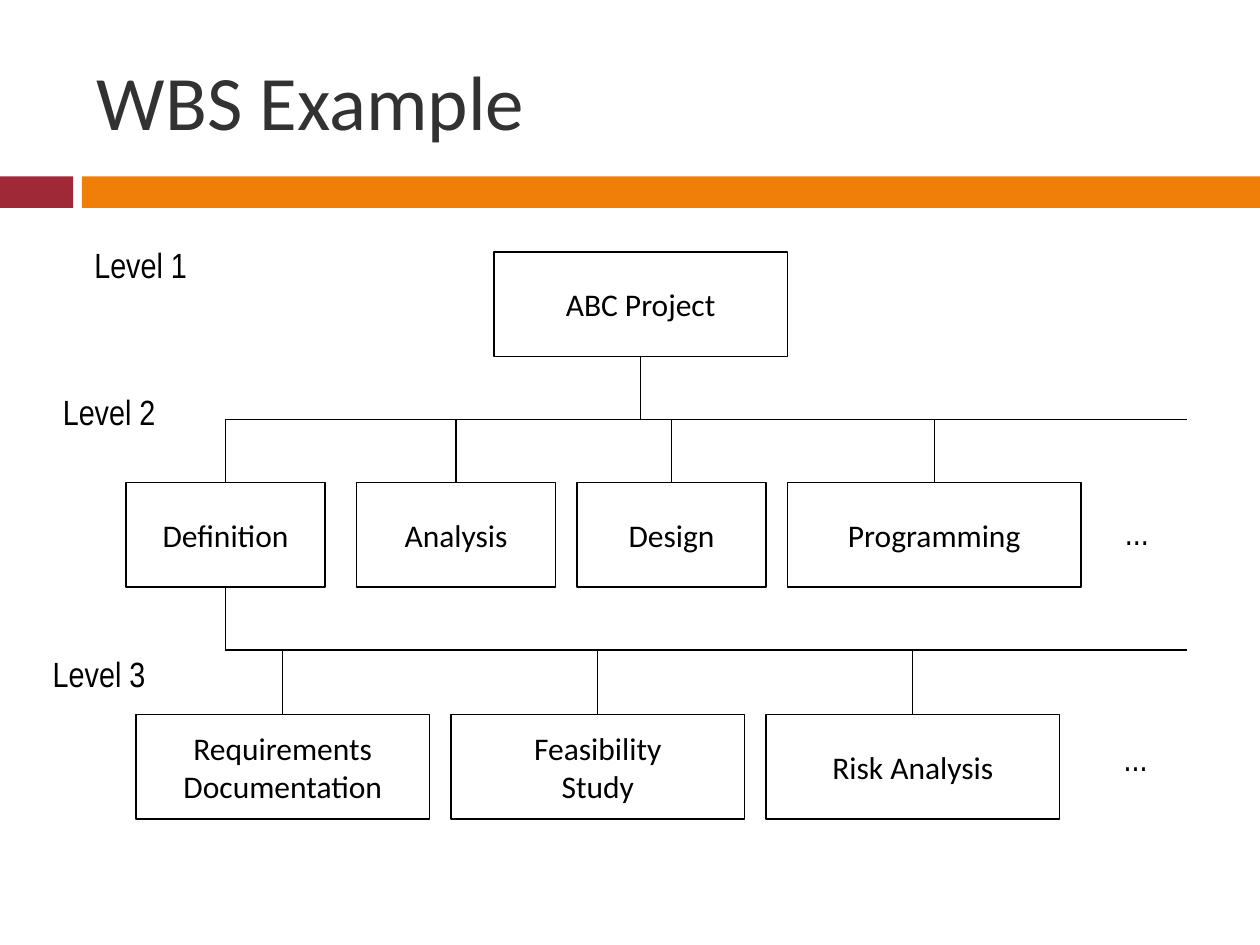
from dataclasses import dataclass

from lxml import etree
from pptx import Presentation
from pptx.dml.color import RGBColor
from pptx.enum.shapes import MSO_CONNECTOR, MSO_SHAPE
from pptx.enum.text import MSO_ANCHOR, MSO_AUTO_SIZE, PP_ALIGN
from pptx.oxml.ns import qn
from pptx.util import Inches, Pt

RECTANGLE = MSO_SHAPE.RECTANGLE
ELBOW = MSO_CONNECTOR.ELBOW
MIDDLE = MSO_ANCHOR.MIDDLE
TOP = MSO_ANCHOR.TOP
CENTER = PP_ALIGN.CENTER
LEFT = PP_ALIGN.LEFT
FIT_SHAPE = MSO_AUTO_SIZE.SHAPE_TO_FIT_TEXT
TOP_SITE, BOTTOM_SITE = 0, 2


@dataclass(frozen=True)
class Theme:
    ink: RGBColor = RGBColor(0, 0, 0)
    paper: RGBColor = RGBColor(255, 255, 255)
    title: RGBColor = RGBColor.from_string("323232")
    red: RGBColor = RGBColor.from_string("9F2936")
    orange: RGBColor = RGBColor.from_string("F07F09")
    body_font: str = "Calibri"
    label_font: str = "Arial Narrow"
    title_size: Pt = Pt(44)
    box_size: Pt = Pt(18)
    label_size: Pt = Pt(20)
    line_width: Pt = Pt(0.75)


THEME = Theme()
BOX_HEIGHT = 0.83
WIDE = 2.33
TRUNK_END = 9.42
TRUNK_DROP = 0.5

PHASES = [
    ("Definition", 1, 1.58),
    ("Analysis", 2.83, 1.58),
    ("Design", 4.58, 1.5),
    ("Programming", 6.25, WIDE),
]
TASKS = [
    ("Requirements\nDocumentation", 1.08, WIDE),
    ("Feasibility\nStudy", 3.58, WIDE),
    ("Risk Analysis", 6.08, WIDE),
]
LABELS = [
    ("Level 1", 0.65, 1.88, 1.21),
    ("Level 2", 0.4, 3.05, 1.21),
    ("Level 3", 0.32, 5.13, 1.21),
    ("...", 8.83, 4, 0.45),
    ("...", 8.82, 5.8, 0.45),
]


def write(shape, text, font_name, size, color, align=LEFT, anchor=TOP):
    frame = shape.text_frame
    frame.text = text
    frame.vertical_anchor = anchor
    for paragraph in frame.paragraphs:
        paragraph.alignment = align
        paragraph.font.name = font_name
        paragraph.font.size = size
        paragraph.font.color.rgb = color
    return frame


def add_rectangle(slide, left, top, width, height, fill):
    rectangle = slide.shapes.add_shape(
        RECTANGLE, Inches(left), Inches(top), Inches(width), Inches(height))
    rectangle.shadow.inherit = False
    rectangle.fill.solid()
    rectangle.fill.fore_color.rgb = fill
    rectangle.line.fill.background()
    return rectangle


def add_title(slide, text):
    title = slide.shapes.add_textbox(
        Inches(0.67), Inches(0.25), Inches(8.92), Inches(1.08))
    frame = write(title, text, THEME.body_font, THEME.title_size,
                  THEME.title, anchor=MIDDLE)
    frame.word_wrap = True


def add_work_box(slide, text, left, top, width):
    box = add_rectangle(slide, left, top, width, BOX_HEIGHT, THEME.paper)
    box.line.color.rgb = THEME.ink
    box.line.width = THEME.line_width
    frame = write(box, text, THEME.body_font, THEME.box_size, THEME.ink,
                  CENTER, MIDDLE)
    frame.word_wrap = False
    return box


def add_label(slide, text, left, top, width):
    label = slide.shapes.add_textbox(
        Inches(left), Inches(top), Inches(width), Inches(0.5))
    frame = write(label, text, THEME.label_font, THEME.label_size, THEME.ink)
    frame.word_wrap = False
    frame.auto_size = FIT_SHAPE


def add_branch(slide, parent, end_x, end_y, child=None):
    start_x = parent.left + parent.width // 2
    start_y = parent.top + parent.height
    run, drop = abs(end_x - start_x), end_y - start_y
    branch = slide.shapes.add_connector(ELBOW, start_x, start_y, end_x, end_y)
    branch.line.color.rgb = THEME.ink
    branch.line.width = THEME.line_width
    properties = branch._element.spPr
    etree.SubElement(properties, qn("a:effectLst"))
    if child is None:
        properties.find(qn("a:prstGeom")).set("prst", "bentConnector2")
    else:
        branch.begin_connect(parent, BOTTOM_SITE)
        branch.end_connect(child, TOP_SITE)

    branch.left = (start_x + end_x - drop) // 2
    branch.top = (start_y + end_y - run) // 2
    branch.width, branch.height = drop, run
    to_right = end_x > start_x
    frame = properties.find(qn("a:xfrm"))
    frame.set("rot", str((270 if to_right else 90) * 60000))
    frame.set("flipH", "1" if to_right else "0")
    frame.set("flipV", "0")


def add_level(slide, parent, entries, top):
    boxes = [add_work_box(slide, text, left, top, width)
             for text, left, width in entries]
    for box in boxes:
        add_branch(slide, parent, box.left + box.width // 2, box.top, box)
    trunk_y = parent.top + parent.height + Inches(TRUNK_DROP)
    add_branch(slide, parent, Inches(TRUNK_END), trunk_y)
    return boxes


def main():
    presentation = Presentation()
    presentation.slide_width = Inches(10)
    presentation.slide_height = Inches(7.5)
    slide = presentation.slides.add_slide(presentation.slide_layouts[6])

    add_rectangle(slide, 0, 1.4, 0.58, 0.25, THEME.red)
    add_rectangle(slide, 0.65, 1.4, 9.35, 0.25, THEME.orange)
    add_title(slide, "WBS Example")

    project = add_work_box(slide, "ABC Project", 3.92, 2, WIDE)
    phases = add_level(slide, project, PHASES, 3.83)
    add_level(slide, phases[0], TASKS, 5.67)
    for label in LABELS:
        add_label(slide, *label)

    presentation.save("out.pptx")


if __name__ == "__main__":
    main()
